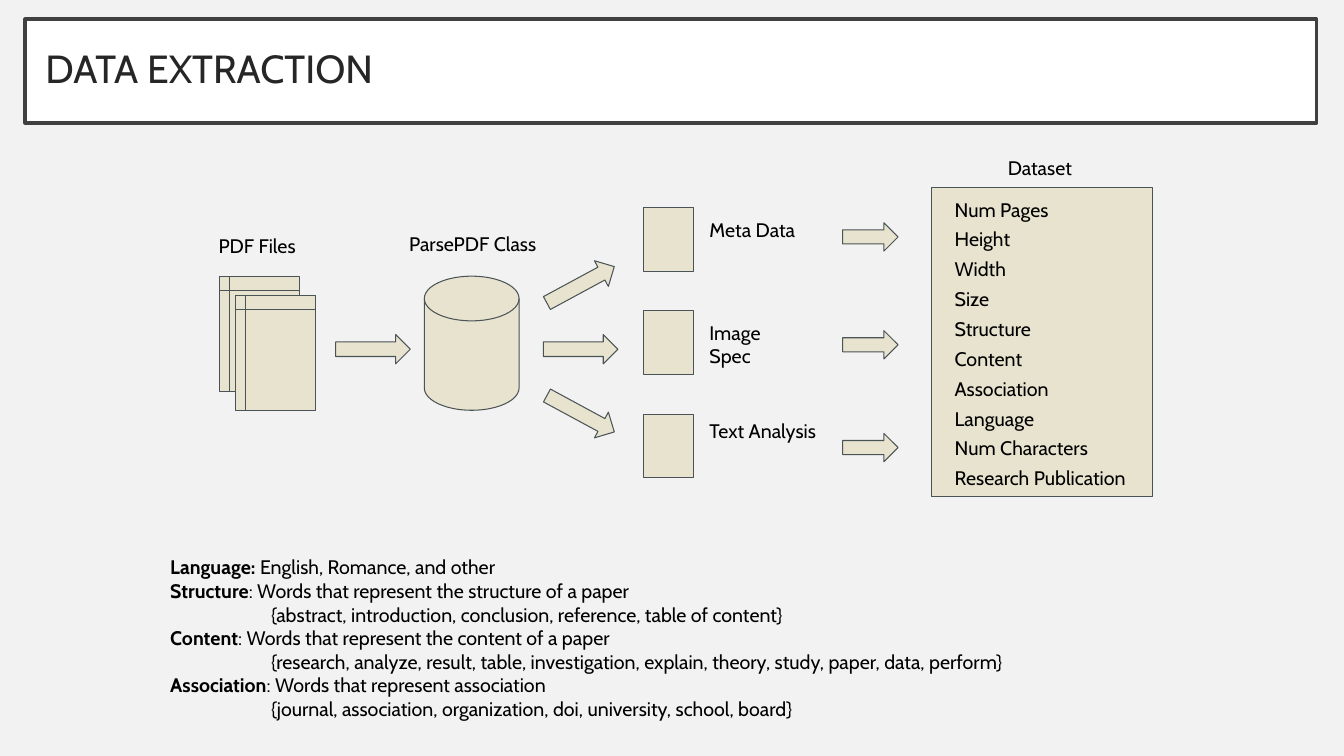
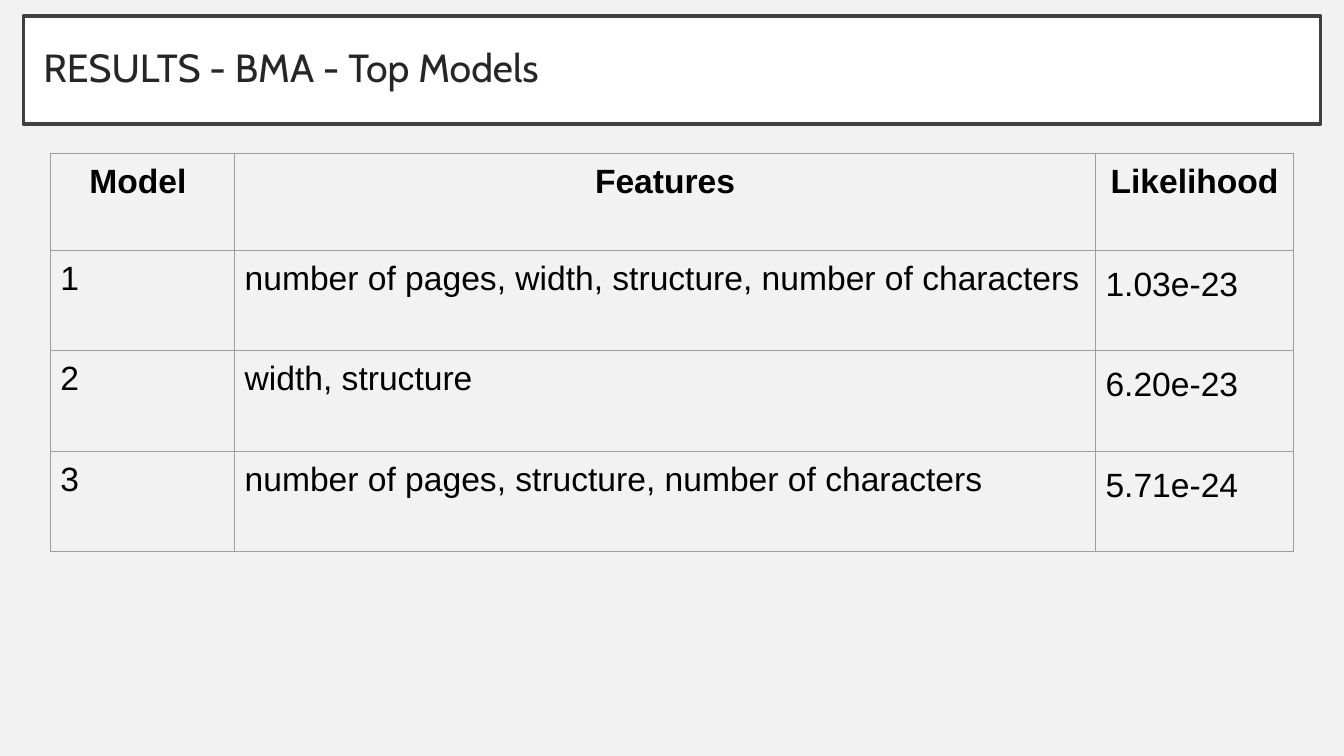
"""Build two slides: a data extraction flow and a table of top models."""
from lxml import etree
from pptx import Presentation
from pptx import util as u
from pptx.dml import color
from pptx.enum import shapes, text
from pptx.oxml import ns

Pt = u.Pt
KIND = shapes.MSO_SHAPE
ALIGN = text.PP_ALIGN
BACKGROUND, WHITE, BLACK = "F2F2F2", "FFFFFF", "000000"
FRAME, TITLE, GRID = "404040", "262626", "9E9E9E"
SAND, OUTLINE = "E8E3CE", "4A5356"
FONT, TABLE_FONT = "Cabin", "Arial"
INSET, TITLE_INSET = 7.2, 14.4

FLOW_SHAPES = [
    (KIND.FLOWCHART_INTERNAL_STORAGE, 157, 197.3, 56.9, 82.1, 0),
    (KIND.FLOWCHART_INTERNAL_STORAGE, 168.5, 211, 56.9, 82.1, 0),
    (KIND.RIGHT_ARROW, 239.8, 239, 53.3, 20.9, 0),
    (KIND.FLOWCHART_MAGNETIC_DISK, 303.1, 197.3, 67.7, 95.8, 0),
    (KIND.RIGHT_ARROW, 387.4, 193, 54.7, 20.9, -28.4),
    (KIND.RIGHT_ARROW, 388.1, 239, 53.3, 20.9, 0),
    (KIND.RIGHT_ARROW, 387.4, 285.1, 54.7, 20.9, 28.4),
]
FLOW_LABELS = [
    ("PDF Files", 149, 159.8, 96),
    ("ParsePDF Class", 285.1, 158.4, 110),
    ("Dataset", 712.8, 104.4, 66),
]
OUTPUTS = [
    ("Meta Data", 148.3, 159.1, 81.4),
    ("Image Spec", 221.8, 236.2, 81.4),
    ("Text Analysis", 292.3, 309.6, 106),
]
OUTPUT_TOP, OUTPUT_PITCH = 148.3, 73.8
DATASET_FIELDS = ["Num Pages", "Height", "Width", "Size", "Structure", "Content",
                  "Association", "Language", "Num Characters", "Research Publication"]
DEFINITIONS = [
    ("Language: ", "English, Romance, and other", ""),
    ("Structure", ": Words that represent the structure of a paper",
     "{abstract, introduction, conclusion, reference, table of content}"),
    ("Content", ": Words that represent the content of a paper",
     "{research, analyze, result, table, investigation, explain, theory, study, "
     "paper, data, perform}"),
    ("Association", ": Words that represent association",
     "{journal, association, organization, doi, university, school, board}"),
]
MODELS = [
    ("Model ", "Features", "Likelihood"),
    ("1", "number of pages, width, structure, number of characters", "1.03e-23"),
    ("2", "width, structure", "6.20e-23"),
    ("3", "number of pages, structure, number of characters", "5.71e-24"),
]
COLUMN_WIDTHS = [131.6, 614.9, 141.6]
ROW_HEIGHTS = [69.2, 71.8, 71.8, 71.8]


def rgb(value):
    return color.RGBColor.from_string(value)


def points(*values):
    return [Pt(value) for value in values]


def paint(shape, fill, line, width):
    shape.fill.solid()
    shape.fill.fore_color.rgb = rgb(fill)
    shape.line.color.rgb = rgb(line)
    shape.line.width = Pt(width)


def set_font(font, size, name=FONT, shade=BLACK, bold=False):
    font.size, font.name, font.bold = Pt(size), name, bold
    font.color.rgb = rgb(shade)


def set_frame(frame, inset):
    frame.word_wrap = True
    frame.auto_size = text.MSO_AUTO_SIZE.NONE
    frame.margin_left = frame.margin_right = Pt(inset)
    frame.margin_top = frame.margin_bottom = Pt(inset)


def add_titled_slide(presentation, title, left, top, width, height):
    slide = presentation.slides.add_slide(presentation.slide_layouts[5])
    shape = slide.shapes.title
    shape.left, shape.top, shape.width, shape.height = points(left, top, width, height)
    paint(shape, WHITE, FRAME, 2.5)
    frame = shape.text_frame
    set_frame(frame, TITLE_INSET)
    frame.vertical_anchor = text.MSO_ANCHOR.MIDDLE
    frame.text = title
    paragraph = frame.paragraphs[0]
    paragraph.alignment, paragraph.line_spacing = ALIGN.LEFT, 0.9
    set_font(paragraph.font, 28, shade=TITLE)
    return slide


def add_sand_shape(slide, kind, left, top, width, height, rotation=0):
    shape = slide.shapes.add_shape(kind, *points(left, top, width, height))
    paint(shape, SAND, OUTLINE, 0.75)
    shape.shadow.inherit = False
    shape.rotation = rotation
    return shape


def add_text_frame(slide, left, top, width, height):
    frame = slide.shapes.add_textbox(*points(left, top, width, height)).text_frame
    set_frame(frame, INSET)
    return frame


def add_label(slide, label, left, top, width):
    frame = add_text_frame(slide, left, top, width, 20.9)
    frame.text = label
    set_font(frame.paragraphs[0].font, 14)


def next_paragraph(frame, is_first):
    paragraph = frame.paragraphs[0] if is_first else frame.add_paragraph()
    paragraph.alignment = ALIGN.LEFT
    set_font(paragraph.font, 14)
    return paragraph


def add_dataset(slide):
    frame = add_sand_shape(slide, KIND.RECTANGLE, 665.3, 133.9, 157.7, 221).text_frame
    set_frame(frame, INSET)
    frame.margin_left = Pt(16.6)
    frame.vertical_anchor = text.MSO_ANCHOR.TOP
    for index, field in enumerate(DATASET_FIELDS):
        paragraph = next_paragraph(frame, index == 0)
        paragraph.text = field
        paragraph.space_after = Pt(4.5)


def add_definitions(slide):
    frame = add_text_frame(slide, 114.5, 389.5, 730.8, 130.3)
    for index, (term, meaning, words) in enumerate(DEFINITIONS):
        paragraph = next_paragraph(frame, index == 0)
        term_run = paragraph.add_run()
        term_run.text, term_run.font.bold = term, True
        paragraph.add_run().text = meaning
        if words:
            paragraph = next_paragraph(frame, False)
            paragraph.text = words
            properties = paragraph._p.get_or_add_pPr()
            for name in ("marL", "indent"):
                properties.set(name, str(Pt(36)))


def add_borders(cell):
    properties = cell._tc.get_or_add_tcPr()
    for side in ("a:lnL", "a:lnR", "a:lnT", "a:lnB"):
        line = etree.SubElement(properties, ns.qn(side), w=str(Pt(0.75)))
        fill = etree.SubElement(line, ns.qn("a:solidFill"))
        etree.SubElement(fill, ns.qn("a:srgbClr"), val=GRID)


def add_models_table(slide):
    table = slide.shapes.add_table(
        len(MODELS), len(COLUMN_WIDTHS),
        *points(36, 109.4, sum(COLUMN_WIDTHS), sum(ROW_HEIGHTS))).table
    table.first_row = table.horz_banding = False
    for column, width in zip(table.columns, COLUMN_WIDTHS):
        column.width = Pt(width)
    for row_index, (values, height) in enumerate(zip(MODELS, ROW_HEIGHTS)):
        table.rows[row_index].height = Pt(height)
        is_header = row_index == 0
        for column_index, value in enumerate(values):
            cell = table.cell(row_index, column_index)
            add_borders(cell)
            cell.fill.background()
            cell.margin_left = cell.margin_right = Pt(INSET)
            cell.margin_top = cell.margin_bottom = Pt(INSET)
            cell.text = value
            paragraph = cell.text_frame.paragraphs[0]
            paragraph.alignment = ALIGN.CENTER if is_header else ALIGN.LEFT
            if column_index == 2 and not is_header:
                paragraph.line_spacing = 1.15
            set_font(paragraph.font, 24, TABLE_FONT, bold=is_header)


def build_extraction(presentation):
    slide = add_titled_slide(presentation, "DATA EXTRACTION", 18, 13.7, 922.3, 74.2)
    for placement in FLOW_SHAPES:
        add_sand_shape(slide, *placement)
    for index, (label, label_top, arrow_top, width) in enumerate(OUTPUTS):
        top = OUTPUT_TOP + index * OUTPUT_PITCH
        add_sand_shape(slide, KIND.RECTANGLE, 459.4, top, 36, 45.4)
        add_label(slide, label, 499.7, label_top, width)
        add_sand_shape(slide, KIND.RIGHT_ARROW, 601.9, arrow_top, 39.6, 20.2)
    add_dataset(slide)
    for label in FLOW_LABELS:
        add_label(slide, *label)
    add_definitions(slide)


def build_results(presentation):
    slide = add_titled_slide(presentation, "RESULTS - BMA - Top Models",
                             16.6, 11.5, 926.6, 77)
    add_models_table(slide)


def main():
    presentation = Presentation()
    presentation.slide_width, presentation.slide_height = points(960, 540)
    background = presentation.slide_master.background.fill
    background.solid()
    background.fore_color.rgb = rgb(BACKGROUND)
    build_extraction(presentation)
    build_results(presentation)
    presentation.save("out.pptx")


if __name__ == "__main__":
    main()
